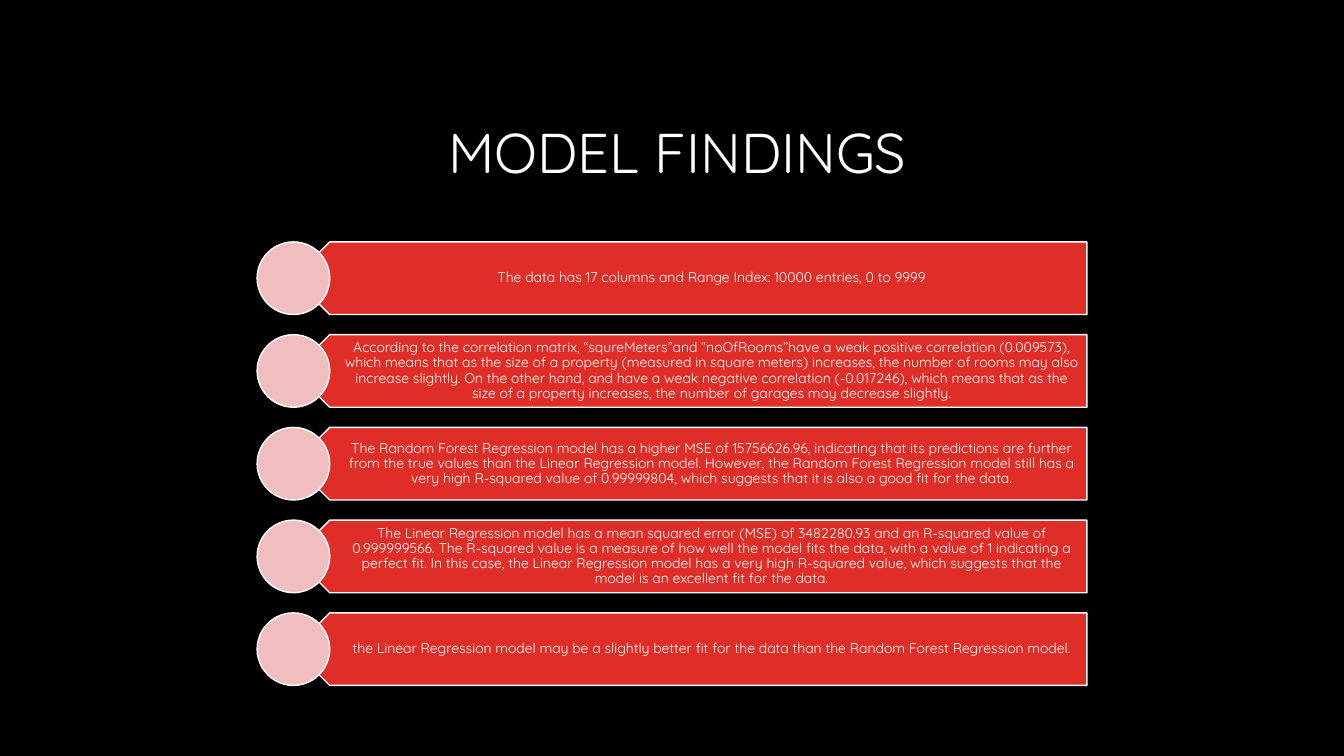
from dataclasses import dataclass

from pptx import Presentation
from pptx.dml.color import RGBColor
from pptx.enum.shapes import MSO_SHAPE as Preset
from pptx.enum.text import MSO_ANCHOR as Anchor, PP_ALIGN as Align
from pptx.slide import Slide
from pptx.util import Inches, Pt


@dataclass(frozen=True)
class Theme:
    font: str = "Quicksand"
    background: RGBColor = RGBColor(0x00, 0x00, 0x00)
    white: RGBColor = RGBColor(0xFF, 0xFF, 0xFF)
    banner: RGBColor = RGBColor(0xDF, 0x2E, 0x28)
    marker: RGBColor = RGBColor(0xF0, 0xBE, 0xBE)
    title_size: int = 40
    body_size: int = 10
    outline: int = 1


@dataclass(frozen=True)
class Area:
    left: float
    top: float
    width: float
    height: float

    def lengths(self) -> list[Inches]:
        return [Inches(side) for side in (self.left, self.top, self.width, self.height)]


@dataclass(frozen=True)
class Margins:
    left: float = 0.1
    top: float = 0.05
    right: float = 0.1
    bottom: float = 0.05


THEME = Theme()
TITLE_AREA = Area(4.23, 0.87, 5.01, 1.34)
FINDING_MARGINS = Margins(0.32, 0.04, 0.08, 0.04)
FIRST_TOP = 2.4
ROW_STEP = 0.92
ROW_HEIGHT = 0.72

FINDINGS = [
    "The data has 17 columns and Range Index: 10000 entries, 0 to 9999",
    "According to the correlation matrix, “squreMeters”and “noOfRooms”have a weak "
    "positive correlation (0.009573), which means that as the size of a property "
    "(measured in square meters) increases, the number of rooms may also increase "
    "slightly. On the other hand, and have a weak negative correlation (-0.017246), "
    "which means that as the size of a property increases, the number of garages "
    "may decrease slightly.",
    "The Random Forest Regression model has a higher MSE of 15756626.96, indicating "
    "that its predictions are further from the true values than the Linear Regression "
    "model. However, the Random Forest Regression model still has a very high "
    "R-squared value of 0.99999804, which suggests that it is also a good fit for "
    "the data.",
    "The Linear Regression model has a mean squared error (MSE) of 3482280.93 and an "
    "R-squared value of 0.999999566. The R-squared value is a measure of how well the "
    "model fits the data, with a value of 1 indicating a perfect fit. In this case, "
    "the Linear Regression model has a very high R-squared value, which suggests that "
    "the model is an excellent fit for the data.",
    "the Linear Regression model may be a slightly better fit for the data than the "
    "Random Forest Regression model.",
]


def add_outlined_shape(
    page: Slide, preset: Preset, area: Area, color: RGBColor, rotation: float = 0
) -> None:
    shape = page.shapes.add_shape(preset, *area.lengths())
    shape.rotation = rotation
    shape.shadow.inherit = False
    shape.fill.solid()
    shape.fill.fore_color.rgb = color
    shape.line.color.rgb = THEME.white
    shape.line.width = Pt(THEME.outline)


def add_text(
    page: Slide, text: str, area: Area, size: int, align: Align, margins: Margins
) -> None:
    frame = page.shapes.add_textbox(*area.lengths()).text_frame
    frame.word_wrap = True
    frame.vertical_anchor = Anchor.MIDDLE
    frame.margin_left = Inches(margins.left)
    frame.margin_top = Inches(margins.top)
    frame.margin_right = Inches(margins.right)
    frame.margin_bottom = Inches(margins.bottom)
    para = frame.paragraphs[0]
    para.text = text
    para.alignment = align
    para.line_spacing = 0.9
    para.font.name = THEME.font
    para.font.size = Pt(size)
    para.font.color.rgb = THEME.white


def add_finding(page: Slide, text: str, top: float) -> None:
    """Draw a left-pointing banner, its text and the round marker over its tip."""
    banner = Area(2.91, top, 7.87, ROW_HEIGHT)
    text_area = Area(3.09, top, 7.69, ROW_HEIGHT)
    marker = Area(2.55, top, ROW_HEIGHT, ROW_HEIGHT)
    add_outlined_shape(page, Preset.PENTAGON, banner, THEME.banner, rotation=180)
    add_text(page, text, text_area, THEME.body_size, Align.CENTER, FINDING_MARGINS)
    add_outlined_shape(page, Preset.OVAL, marker, THEME.marker)


def main() -> None:
    deck = Presentation()
    deck.slide_width = Inches(13.33)
    deck.slide_height = Inches(7.5)
    page = deck.slides.add_slide(deck.slide_layouts[6])
    page.background.fill.solid()
    page.background.fill.fore_color.rgb = THEME.background

    add_text(
        page, "MODEL FINDINGS ", TITLE_AREA, THEME.title_size, Align.RIGHT, Margins()
    )
    for row, finding in enumerate(FINDINGS):
        add_finding(page, finding, FIRST_TOP + row * ROW_STEP)
    deck.save("out.pptx")


if __name__ == "__main__":
    main()
